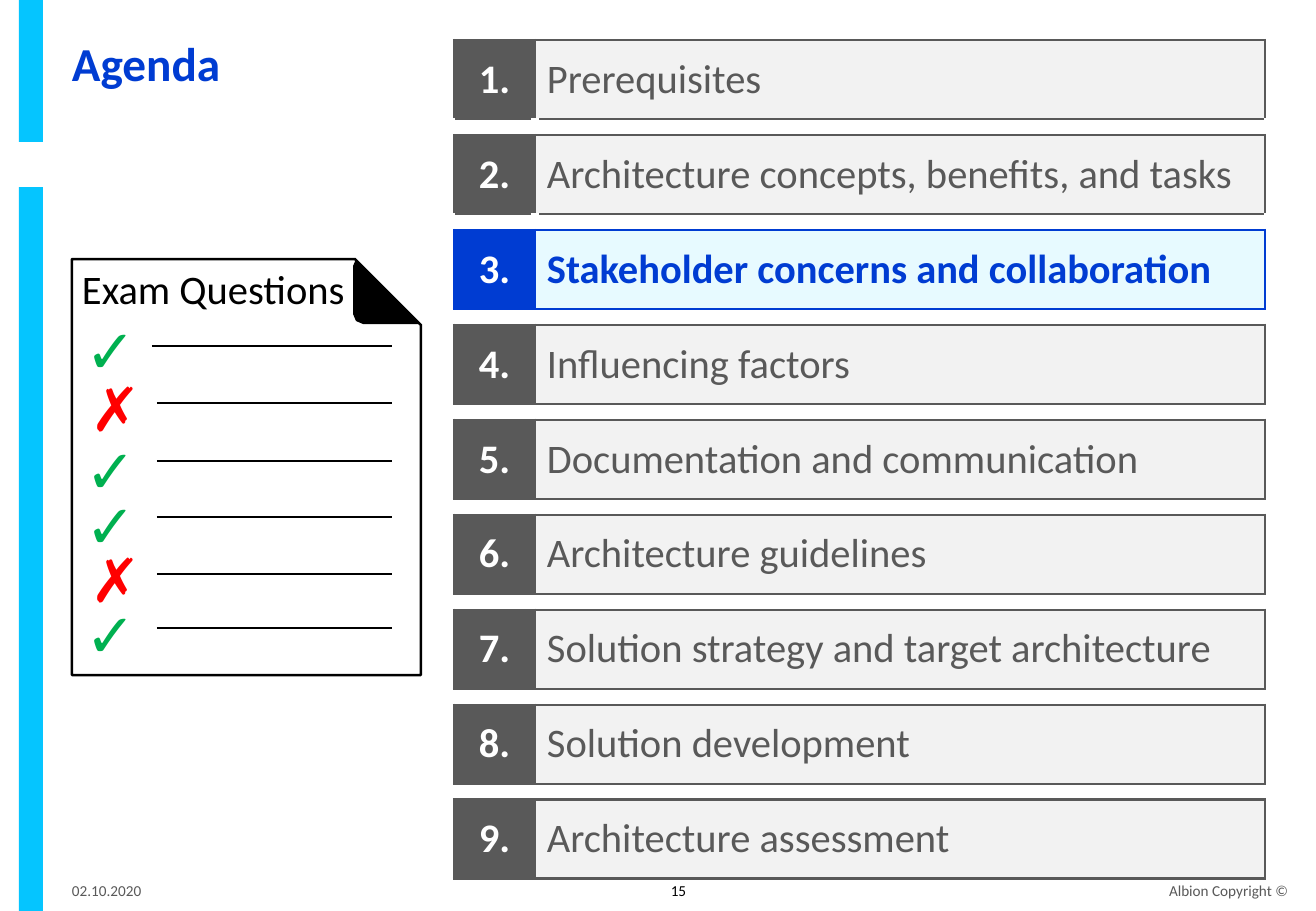
"""Build the agenda slide with its chapter table and exam question sheet."""
import dataclasses

import lxml.etree
import pptx
import pptx.dml.color
import pptx.dml.fill
import pptx.enum.shapes
import pptx.enum.text
import pptx.oxml.ns
import pptx.shapes.autoshape
import pptx.slide
import pptx.table
import pptx.text.text
import pptx.util

RGBColor = pptx.dml.color.RGBColor
Align = pptx.enum.text.PP_ALIGN
Points = list[tuple[int, int]]

SCALE = 7526
FONT = "Calibri"
BLACK = RGBColor(0x00, 0x00, 0x00)
WHITE = RGBColor(0xFF, 0xFF, 0xFF)
GREY = RGBColor(0x59, 0x59, 0x59)
PALE_GREY = RGBColor(0xF2, 0xF2, 0xF2)
BLUE = RGBColor(0x00, 0x3C, 0xD2)
PALE_BLUE = RGBColor(0xE7, 0xFA, 0xFF)
CYAN = RGBColor(0x05, 0xC5, 0xFF)
GREEN = RGBColor(0x00, 0xB0, 0x50)
RED = RGBColor(0xFF, 0x00, 0x00)

CHAPTERS = [
    "Prerequisites",
    "Architecture concepts, benefits, and tasks",
    "Stakeholder concerns and collaboration",
    "Influencing factors",
    "Documentation and communication",
    "Architecture guidelines",
    "Solution strategy and target architecture",
    "Solution development",
    "Architecture assessment",
]
CURRENT = 2
SPLIT_GAPS = 2
COLUMN_WIDTHS = (81, 730)
ROW_HEIGHT = 79
GAP_HEIGHT = 16


@dataclasses.dataclass(frozen=True)
class Label:
    text: str
    left: int
    top: int
    width: int
    height: int
    size: int
    color: RGBColor
    align: Align = Align.LEFT
    anchor: pptx.enum.text.MSO_ANCHOR = pptx.enum.text.MSO_ANCHOR.TOP


@dataclasses.dataclass(frozen=True)
class Question:
    correct: bool
    mark_top: int
    line_left: int
    line_top: int


@dataclasses.dataclass(frozen=True)
class Border:
    color: RGBColor
    width: float = 1.5


MIDDLE = pptx.enum.text.MSO_ANCHOR.MIDDLE
FOOTERS = [
    Label("02.10.2020", 72, 875, 297, 30, 9, GREY, Align.LEFT, MIDDLE),
    Label("15", 530, 875, 297, 30, 9, BLACK, Align.CENTER, MIDDLE),
    Label("Albion Copyright ©", 843, 875, 445, 30, 9, GREY, Align.RIGHT, MIDDLE),
]
SHEET_TITLE = Label("Exam Questions", 82, 264, 290, 50, 24, BLACK)
QUESTIONS = [
    Question(True, 313, 152, 346),
    Question(False, 371, 157, 403),
    Question(True, 433, 157, 461),
    Question(True, 488, 157, 517),
    Question(False, 542, 157, 574),
    Question(True, 597, 157, 628),
]
SHEET = [(72, 259), (355, 259), (421, 325), (421, 675), (72, 675)]
FOLD = [(356, 259), (420, 324), (363, 324), (356, 321), (353, 314), (353, 266)]


def px(length: int) -> int:
    return pptx.util.Emu(length * SCALE)


def write(paragraph: pptx.text.text._Paragraph, text: str, size: int,
          color: RGBColor, bold: bool = False, align: Align = Align.LEFT) -> None:
    paragraph.alignment = align
    run = paragraph.add_run()
    run.text = text
    run.font.name = FONT
    run.font.size = pptx.util.Pt(size)
    run.font.bold = bold
    run.font.color.rgb = color


def clear_margins(frame: pptx.text.text.TextFrame) -> None:
    frame.margin_left = frame.margin_right = frame.margin_top = frame.margin_bottom = 0


def add_label(slide: pptx.slide.Slide, label: Label) -> None:
    box = slide.shapes.add_textbox(px(label.left), px(label.top), px(label.width), px(label.height))
    frame = box.text_frame
    frame.word_wrap = True
    frame.vertical_anchor = label.anchor
    clear_margins(frame)
    write(frame.paragraphs[0], label.text, label.size, label.color, align=label.align)


def add_title(slide: pptx.slide.Slide) -> None:
    title = slide.shapes.title
    title.left, title.top, title.width, title.height = px(72), px(10), px(1215), px(113)
    title.text_frame.vertical_anchor = MIDDLE
    clear_margins(title.text_frame)
    paragraph = title.text_frame.paragraphs[0]
    paragraph.line_spacing = 0.9
    write(paragraph, "Agenda", 28, BLUE, bold=True)


def add_block(slide: pptx.slide.Slide, left: int, top: int, width: int, height: int,
              color: RGBColor) -> None:
    block = slide.shapes.add_shape(pptx.enum.shapes.MSO_SHAPE.RECTANGLE,
                                   px(left), px(top), px(width), px(height))
    block.shadow.inherit = False
    block.fill.solid()
    block.fill.fore_color.rgb = color
    block.line.fill.background()


def add_outline(slide: pptx.slide.Slide, points: Points, fill: RGBColor) -> pptx.shapes.autoshape.Shape:
    builder = slide.shapes.build_freeform(*points[0], scale=SCALE)
    builder.add_line_segments(points[1:], close=True)
    outline = builder.convert_to_shape()
    outline.shadow.inherit = False
    outline.fill.solid()
    outline.fill.fore_color.rgb = fill
    outline.line.fill.background()
    return outline


def add_question(slide: pptx.slide.Slide, question: Question) -> None:
    line = slide.shapes.add_connector(pptx.enum.shapes.MSO_CONNECTOR.STRAIGHT, px(question.line_left),
                                      px(question.line_top), px(392), px(question.line_top))
    line.line.color.rgb = BLACK
    line.line.width = pptx.util.Pt(1)
    lxml.etree.SubElement(line._element.spPr, pptx.oxml.ns.qn("a:effectLst"))
    mark, left, color = ("✓", 86, GREEN) if question.correct else ("✗", 91, RED)
    add_label(slide, Label(mark, left, question.mark_top, 60, 74, 36, color))


def format_cell(cell: pptx.table._Cell, fill: RGBColor, left: Border | None, right: Border | None,
                top: Border, bottom: Border) -> None:
    properties = cell._tc.get_or_add_tcPr()
    for tag, border in (("lnL", left), ("lnR", right), ("lnT", top), ("lnB", bottom)):
        line = lxml.etree.SubElement(properties, pptx.oxml.ns.qn(f"a:{tag}"))
        if border is None:
            lxml.etree.SubElement(line, pptx.oxml.ns.qn("a:noFill"))
            continue
        line.set("w", str(pptx.util.Pt(border.width)))
        paint = lxml.etree.SubElement(line, pptx.oxml.ns.qn("a:solidFill"))
        lxml.etree.SubElement(paint, pptx.oxml.ns.qn("a:srgbClr"), val=str(border.color))
    cell.fill.solid()
    cell.fill.fore_color.rgb = fill


def fill_gap(table: pptx.table.Table, chapter: int, top: Border, bottom: Border) -> None:
    row = 2 * chapter + 1
    cells = [table.cell(row, column) for column in range(2)]
    thin, thick = Border(WHITE, 1), Border(WHITE, 6)
    split = chapter < SPLIT_GAPS
    sides = [(thin, thick), (thick, thin)] if split else [(None, None)] * 2
    for cell, (left, right) in zip(cells, sides):
        cell.margin_top = cell.margin_bottom = 0
        lxml.etree.SubElement(cell.text_frame.paragraphs[0]._p, pptx.oxml.ns.qn("a:endParaRPr"), sz="100")
        format_cell(cell, WHITE, left, right, top, bottom)
    if not split:
        cells[0].merge(cells[1])


def add_agenda(slide: pptx.slide.Slide) -> None:
    count = len(CHAPTERS)
    height = count * ROW_HEIGHT + (count - 1) * GAP_HEIGHT
    table = slide.shapes.add_table(2 * count - 1, 2, px(454), px(40), px(sum(COLUMN_WIDTHS)), px(height)).table
    table.first_row = table.horz_banding = False
    for column, width in zip(table.columns, COLUMN_WIDTHS):
        column.width = px(width)
    for index, row in enumerate(table.rows):
        row.height = px(GAP_HEIGHT if index % 2 else ROW_HEIGHT)
    borders = [Border(BLUE if chapter == CURRENT else GREY) for chapter in range(count)]
    for chapter, (name, border) in enumerate(zip(CHAPTERS, borders)):
        current = chapter == CURRENT
        contents = [(f"{chapter + 1}.", WHITE, border.color, True, Align.CENTER),
                    (name, border.color, PALE_BLUE if current else PALE_GREY, current, Align.LEFT)]
        for column, (text, color, fill, bold, align) in enumerate(contents):
            cell = table.cell(2 * chapter, column)
            cell.vertical_anchor = MIDDLE
            cell.margin_left = cell.margin_right = px(12)
            cell.margin_top = cell.margin_bottom = px(14)
            write(cell.text_frame.paragraphs[0], text, 24, color, bold, align)
            format_cell(cell, fill, border, border, border, border)
        if chapter < count - 1:
            fill_gap(table, chapter, border, borders[chapter + 1])


def main() -> None:
    presentation = pptx.Presentation()
    presentation.slide_width, presentation.slide_height = px(1316), px(911)
    slide = presentation.slides.add_slide(presentation.slide_layouts[5])
    add_block(slide, 19, 0, 24, 911, CYAN)
    add_block(slide, 0, 142, 60, 45, WHITE)
    add_title(slide)
    for footer in FOOTERS:
        add_label(slide, footer)
    add_agenda(slide)
    sheet = add_outline(slide, SHEET, WHITE)
    sheet.line.color.rgb = BLACK
    sheet.line.width = pptx.util.Pt(1.5)
    add_outline(slide, FOLD, BLACK)
    add_label(slide, SHEET_TITLE)
    for question in QUESTIONS:
        add_question(slide, question)
    presentation.save("out.pptx")


if __name__ == "__main__":
    main()
